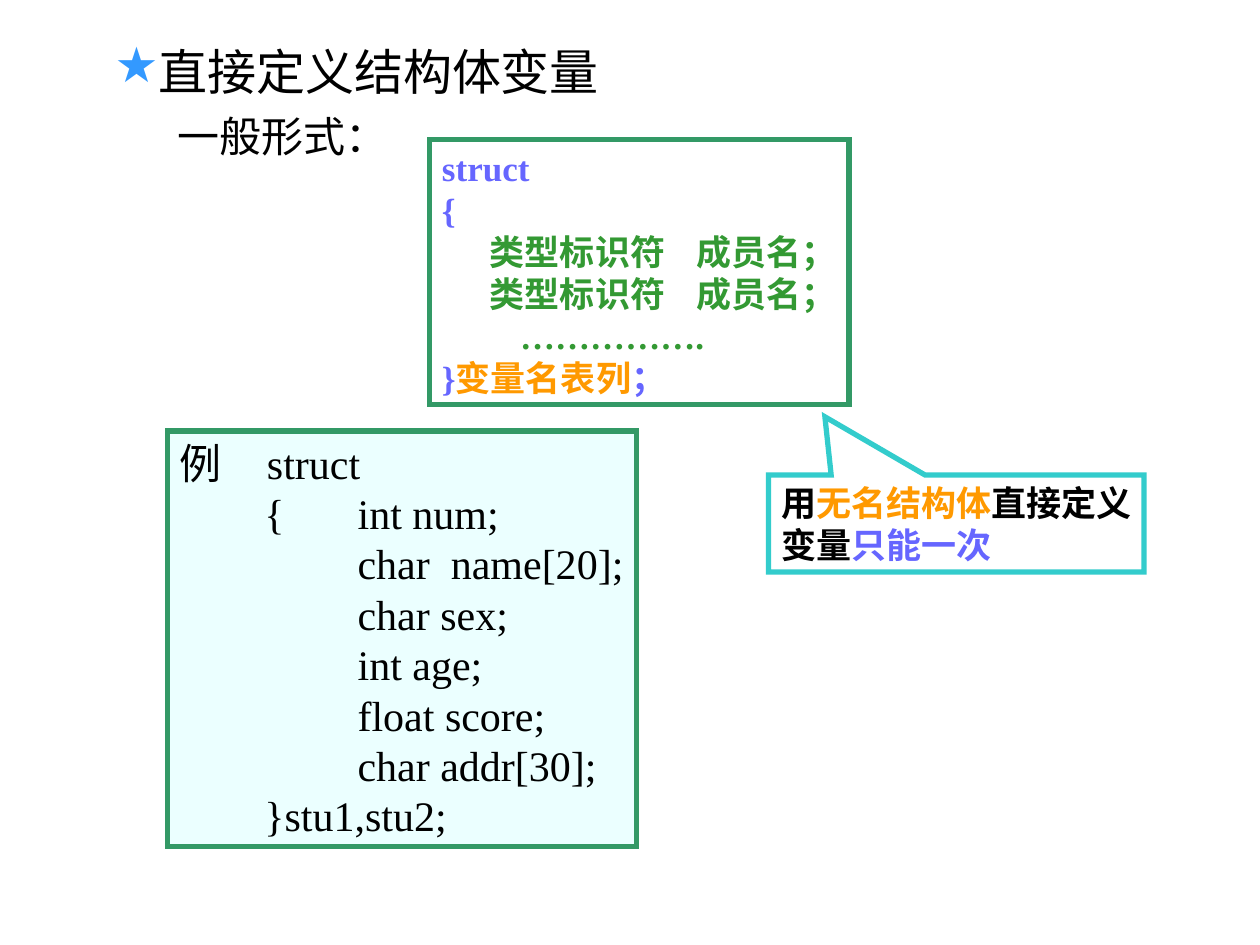
import pptx
import pptx.dml.color
import pptx.enum.lang
import pptx.enum.shapes
import pptx.enum.text
import pptx.oxml.ns
import pptx.util
from lxml import etree

Inches = pptx.util.Inches
Pt = pptx.util.Pt
RGBColor = pptx.dml.color.RGBColor
Shapes = pptx.enum.shapes.MSO_SHAPE
Anchor = pptx.enum.text.MSO_ANCHOR
qn = pptx.oxml.ns.qn

BLACK = RGBColor(0x00, 0x00, 0x00)
STAR_BLUE = RGBColor(0x33, 0x99, 0xFF)
VIOLET = RGBColor(0x66, 0x66, 0xFF)
GREEN = RGBColor(0x33, 0x99, 0x33)
ORANGE = RGBColor(0xFF, 0x99, 0x00)
FRAME_GREEN = RGBColor(0x33, 0x99, 0x66)
TURQUOISE = RGBColor(0x33, 0xCC, 0xCC)
PALE_CYAN = RGBColor(0xEB, 0xFF, 0xFF)


class SlideBuilder:
    font_name = "Times New Roman"
    line_width = Pt(3)

    def __init__(self, presentation):
        self.slide = presentation.slides.add_slide(presentation.slide_layouts[5])

    def set_frame(self, text_frame, anchor, right_margin):
        text_frame.word_wrap = True
        text_frame.auto_size = pptx.enum.text.MSO_AUTO_SIZE.NONE
        text_frame.vertical_anchor = anchor
        text_frame.margin_left = Inches(0.1)
        text_frame.margin_right = right_margin
        text_frame.margin_top = text_frame.margin_bottom = Inches(0.05)

    def add_runs(self, paragraph, pieces, size, bold=False):
        paragraph.alignment = pptx.enum.text.PP_ALIGN.LEFT
        for text, color in pieces:
            run = paragraph.add_run()
            run.text = text
            run.font.name = self.font_name
            run.font.size = Pt(size)
            run.font.bold = bold
            run.font.color.rgb = color
            run.font.language_id = pptx.enum.lang.MSO_LANGUAGE_ID.SIMPLIFIED_CHINESE

    def set_indent(self, paragraph, left, first):
        properties = paragraph._p.get_or_add_pPr()
        properties.set("marL", str(Inches(left)))
        properties.set("indent", str(Inches(first)))
        return properties

    def add_star_bullet(self, properties):
        color = etree.SubElement(properties, qn("a:buClr"))
        etree.SubElement(color, qn("a:srgbClr"), val=str(STAR_BLUE))
        etree.SubElement(properties, qn("a:buChar"), char="★")

    def add_tabs(self, paragraph, stops):
        tab_list = etree.SubElement(paragraph._p.get_or_add_pPr(), qn("a:tabLst"))
        for stop in stops:
            etree.SubElement(tab_list, qn("a:tab"), pos=str(Inches(stop)), algn="l")

    def title(self, heading, subheading, box):
        shape = self.slide.shapes.title
        shape.left, shape.top, shape.width, shape.height = map(Inches, box)
        text_frame = shape.text_frame
        self.set_frame(text_frame, Anchor.TOP, Inches(0.1))
        first = text_frame.paragraphs[0]
        self.add_runs(first, [(heading, BLACK)], 28)
        first.space_before = Pt(7)
        self.add_star_bullet(self.set_indent(first, 0.81, -0.31))
        second = text_frame.add_paragraph()
        self.add_runs(second, [(subheading, BLACK)], 24)
        second.space_before = Pt(6)
        self.set_indent(second, 1, 0)

    def panel(self, kind, box, line_color, lines, size, bold=False, fill=None):
        shape = self.slide.shapes.add_shape(kind, *map(Inches, box))
        shape.shadow.inherit = False
        if fill is None:
            shape.fill.background()
        else:
            shape.fill.solid()
            shape.fill.fore_color.rgb = fill
        shape.line.color.rgb = line_color
        shape.line.width = self.line_width
        outline = shape._element.spPr.find(qn("a:ln"))
        etree.SubElement(outline, qn("a:miter"), lim="800000")
        text_frame = shape.text_frame
        self.set_frame(text_frame, Anchor.MIDDLE, 0)
        for index, (stops, pieces) in enumerate(lines):
            paragraph = text_frame.add_paragraph() if index else text_frame.paragraphs[0]
            self.add_runs(paragraph, pieces, size, bold)
            if stops:
                self.add_tabs(paragraph, stops)
        return shape


def main():
    presentation = pptx.Presentation()
    presentation.slide_width = Inches(10)
    presentation.slide_height = Inches(7.5)
    builder = SlideBuilder(presentation)

    builder.title("直接定义结构体变量", "一般形式：", (0.31, 0.28, 9.43, 1.19))

    member = ((0.38, 2.02), [("\t类型标识符\t成员名；", GREEN)])
    general_form = [
        ((), [("struct", VIOLET)]),
        ((), [("{", VIOLET)]),
        member,
        member,
        ((0.62,), [("\t…………….", GREEN)]),
        ((), [("}", VIOLET), ("变量名表列", ORANGE), ("；", VIOLET)]),
    ]
    builder.panel(Shapes.RECTANGLE, (3.41, 1.11, 3.33, 2.1), FRAME_GREEN,
                  general_form, 20, bold=True)

    members = ["char\tname[20];", "char sex;", "int age;", "float score;", "char addr[30];"]
    example = [
        ((0.69,), [("例\tstruct", BLACK)]),
        ((0.67, 1.41), [("\t{\tint num;", BLACK)]),
        *[((1.41, 2.15), [("\t" + text, BLACK)]) for text in members],
        ((0.67,), [("\t}stu1,stu2;", BLACK)]),
    ]
    builder.panel(Shapes.RECTANGLE, (1.33, 3.42, 3.72, 3.3), FRAME_GREEN,
                  example, 24, fill=PALE_CYAN)

    remark = [
        ((), [("用", BLACK), ("无名结构体", ORANGE), ("直接定义", BLACK)]),
        ((), [("变量", BLACK), ("只能一次", VIOLET)]),
    ]
    callout = builder.panel(Shapes.RECTANGULAR_CALLOUT, (6.1, 3.77, 2.98, 0.77),
                            TURQUOISE, remark, 20, bold=True)
    callout.adjustments[0] = -0.35
    callout.adjustments[1] = -1.1

    presentation.save("out.pptx")


if __name__ == "__main__":
    main()
